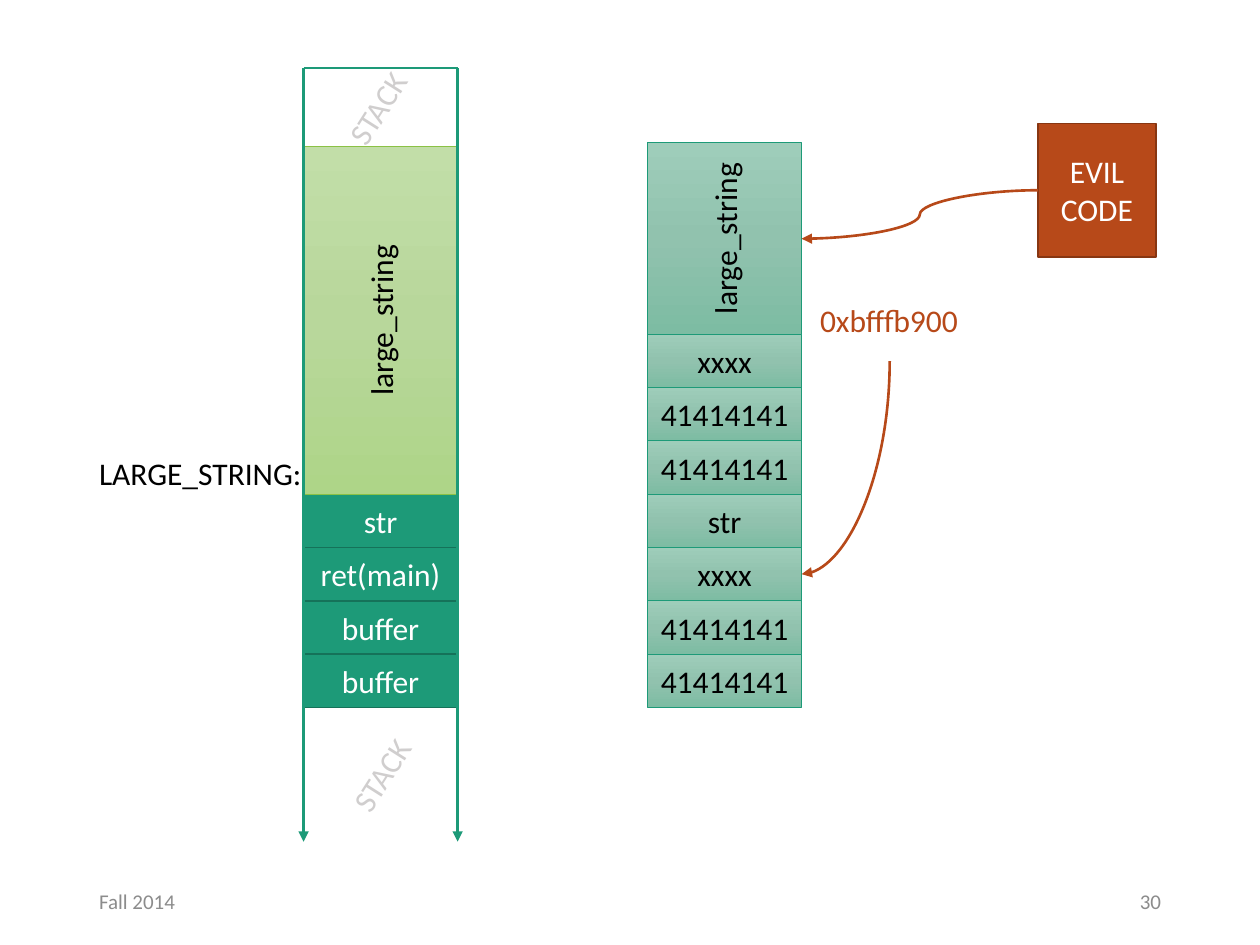
from copy import deepcopy

from lxml import etree
from pptx import Presentation
from pptx.dml.color import RGBColor
from pptx.enum import shapes, text
from pptx.oxml import ns
from pptx.util import Pt

FONT = "Calibri"
BLACK = RGBColor(0x00, 0x00, 0x00)
WHITE = RGBColor(0xFF, 0xFF, 0xFF)
GRAY = RGBColor(0x8C, 0x8C, 0x8C)
PALE_GRAY = RGBColor(0xD0, 0xCE, 0xCE)
TEAL = RGBColor(0x1D, 0x9A, 0x78)
DARK_TEAL = RGBColor(0x15, 0x72, 0x59)
GREEN = RGBColor(0x8B, 0xC1, 0x45)
RUST = RGBColor(0xB7, 0x49, 0x19)
DARK_RUST = RGBColor(0x87, 0x36, 0x12)
GREEN_FADE = [RGBColor(0xC2, 0xDE, 0xA8), RGBColor(0xB8, 0xD7, 0x9B), RGBColor(0xAE, 0xD5, 0x88)]
TEAL_FADE = [RGBColor(0x9E, 0xCD, 0xBA), RGBColor(0x91, 0xC2, 0xAE), RGBColor(0x7D, 0xBC, 0xA3)]

STACK_LEFT, STACK_RIGHT, STACK_TOP, STACK_END = 173.5, 261.5, 38.9, 481
STRING_LEFT, STRING_RIGHT = 370.1, 458.1
CELL_WIDTH, CELL_HEIGHT = 88, 30.48
FRAME_TOP = 282.4  # top of the "str" cells in both columns
LABEL_HEIGHT = 29.1


class Painter:
    def __init__(self, page):
        self.page = page

    def set_text(self, frame, words, color, size=18, align=text.PP_ALIGN.LEFT,
                 anchor=text.MSO_ANCHOR.MIDDLE, wrap=True):
        frame.word_wrap = wrap
        frame.vertical_anchor = anchor
        para = frame.paragraphs[0]
        para.text = words
        para.alignment = align
        para.font.name = FONT
        para.font.size = Pt(size)
        para.font.color.rgb = color

    def box(self, words, left, top, width, height, fill, line, color=WHITE, upward=False):
        """Draw a labelled rectangle; a list as fill gives a top-down gradient."""
        box = self.page.shapes.add_shape(
            shapes.MSO_SHAPE.RECTANGLE, Pt(left), Pt(top), Pt(width), Pt(height))
        box.shadow.inherit = False
        if isinstance(fill, list):
            self.fade(box, fill)
        else:
            box.fill.solid()
            box.fill.fore_color.rgb = fill
        box.line.color.rgb = line
        box.line.width = Pt(0.5 if isinstance(fill, list) else 1)
        self.set_text(box.text_frame, words, color, align=text.PP_ALIGN.CENTER)
        if upward:
            box.element.find(".//" + ns.qn("a:bodyPr")).set("vert", "vert270")

    def fade(self, box, colors):
        box.fill.gradient()
        box.fill.gradient_angle = 270
        stop_list = box.element.spPr.find(".//" + ns.qn("a:gsLst"))
        stop_list.insert(1, deepcopy(stop_list[0]))
        for index, (stop, color) in enumerate(zip(box.fill.gradient_stops, colors)):
            stop.position = index / 2
            stop.color.rgb = color

    def cells(self, labels, left, top, **look):
        for row, label in enumerate(labels):
            self.box(label, left, top + row * CELL_HEIGHT, CELL_WIDTH, CELL_HEIGHT, **look)

    def label(self, words, left, top, width, color, rotation=0):
        label = self.page.shapes.add_textbox(Pt(left), Pt(top), Pt(width), Pt(LABEL_HEIGHT))
        label.rotation = rotation
        self.set_text(label.text_frame, words, color, anchor=text.MSO_ANCHOR.TOP, wrap=False)
        label.text_frame.auto_size = text.MSO_AUTO_SIZE.SHAPE_TO_FIT_TEXT

    def footer(self, words, left, align):
        footer = self.page.shapes.add_textbox(Pt(left), Pt(500.5), Pt(162), Pt(28.8))
        self.set_text(footer.text_frame, words, GRAY, 12, align)

    def line(self, start, end, color, arrow=True, kind=shapes.MSO_CONNECTOR.STRAIGHT, parent=None):
        line = (parent or self.page).shapes.add_connector(kind, *map(Pt, start + end))
        line.line.color.rgb = color
        line.line.width = Pt(1.5)
        if arrow:
            outline = line.element.spPr.find(ns.qn("a:ln"))
            etree.SubElement(outline, ns.qn("a:tailEnd"), type="triangle")
        etree.SubElement(line.element.spPr, ns.qn("a:effectLst"))
        return line

    def curve(self, start, end):
        return self.line(start, end, RUST, kind=shapes.MSO_CONNECTOR.CURVE)

    def quarter_curve(self, start, end):
        """Draw a curve that leaves downwards and arrives leftwards."""
        run, drop = start[0] - end[0], end[1] - start[1]
        middle_x, middle_y = (start[0] + end[0]) / 2, (start[1] + end[1]) / 2
        curve = self.curve((middle_x - drop / 2, middle_y - run / 2),
                           (middle_x + drop / 2, middle_y + run / 2))
        properties = curve.element.spPr
        properties.find(ns.qn("a:xfrm")).set("rot", str(90 * 60000))
        properties.find(ns.qn("a:prstGeom")).set("prst", "curvedConnector2")


def main():
    deck = Presentation()
    deck.slide_width, deck.slide_height = Pt(720), Pt(540)
    painter = Painter(deck.slides.add_slide(deck.slide_layouts[6]))

    # Stack column
    painter.cells(["str", "ret(main)", "buffer", "buffer"], STACK_LEFT, FRAME_TOP,
                  fill=TEAL, line=DARK_TEAL)
    painter.box("large_string", STACK_LEFT, 83.5, CELL_WIDTH, FRAME_TOP - 83.5,
                GREEN_FADE, GREEN, BLACK, upward=True)
    painter.label("LARGE_STRING:", 49.5, 255.7, 131, BLACK)
    outline = painter.page.shapes.add_group_shape()
    for x in (STACK_LEFT, STACK_RIGHT):
        painter.line((x, STACK_TOP), (x, STACK_END), TEAL, parent=outline)
    painter.line((STACK_LEFT, STACK_TOP), (STACK_RIGHT, STACK_TOP), TEAL, False, parent=outline)
    for left, top in ((188.2, 428), (185.9, 47)):
        painter.label("STACK", left, top, 59.8, PALE_GRAY, 302.5)

    # Contents of the overflowing string
    cells_top = FRAME_TOP - 3 * CELL_HEIGHT
    painter.box("large_string", STRING_LEFT, 81.7, CELL_WIDTH, cells_top - 81.7,
                TEAL_FADE, TEAL, BLACK, upward=True)
    word = ["xxxx", "41414141", "41414141"]
    painter.cells(word + ["str"] + word, STRING_LEFT, cells_top,
                  fill=TEAL_FADE, line=TEAL, color=BLACK)

    # Injected code and its address
    painter.box("EVIL CODE", 593.2, 70.6, 67.3, 76.3, RUST, DARK_RUST)
    painter.curve((593.2, 108.7), (STRING_RIGHT, 136.4))
    painter.label("0xbfffb900", 461.5, 168.5, 94.3, RUST)
    painter.quarter_curve((508.4, 206.4), (STRING_RIGHT, FRAME_TOP + 1.5 * CELL_HEIGHT))

    painter.footer("Fall 2014", 49.5, text.PP_ALIGN.LEFT)
    painter.footer("30", 508.5, text.PP_ALIGN.RIGHT)
    deck.save("out.pptx")


if __name__ == "__main__":
    main()
